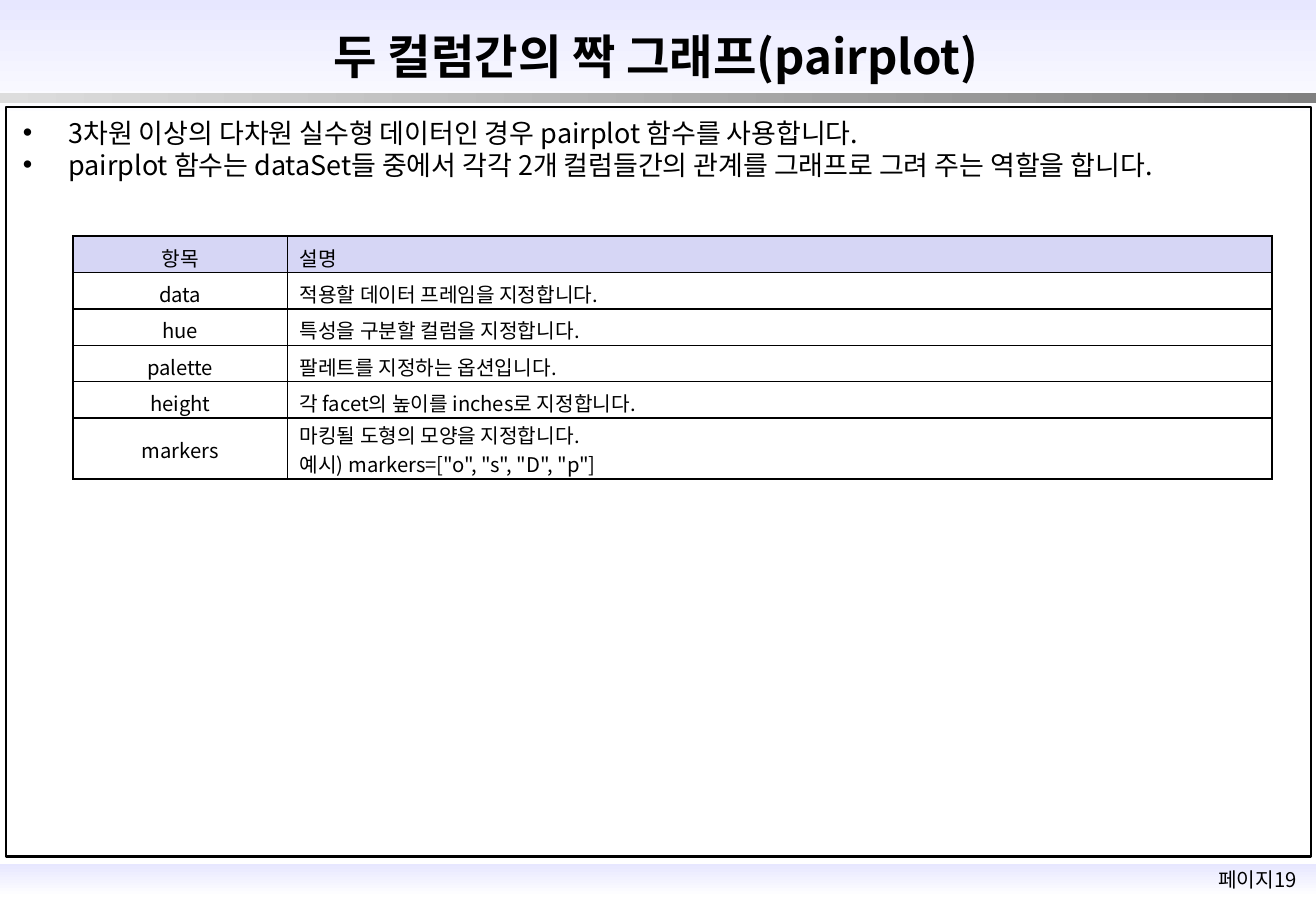
from lxml import etree
from pptx import Presentation
from pptx.dml.color import RGBColor
from pptx.enum import shapes, text
from pptx.oxml import ns
from pptx.util import Pt

BLACK = RGBColor(0, 0, 0)
WHITE = RGBColor(255, 255, 255)
LAVENDER = RGBColor(0xE7, 0xE7, 0xFF)
HEADER = RGBColor(0xD6, 0xD6, 0xF5)
GRAY = RGBColor(0x80, 0x80, 0x80)
LIGHT_GRAY = RGBColor(0xDD, 0xDD, 0xDD)
CENTER, JUSTIFY = text.PP_ALIGN.CENTER, text.PP_ALIGN.JUSTIFY
MIDDLE = text.MSO_ANCHOR.MIDDLE

WIDTH, HEIGHT = 779.76, 540
BULLETS = [
    "3차원 이상의 다차원 실수형 데이터인 경우 pairplot 함수를 사용합니다.",
    "pairplot 함수는 dataSet들 중에서 각각 2개 컬럼들간의 관계를 그래프로 그려 주는 역할을 합니다.",
]
OPTIONS = [
    ("항목", ["설명"]),
    ("data", ["적용할 데이터 프레임을 지정합니다."]),
    ("hue", ["특성을 구분할 컬럼을 지정합니다."]),
    ("palette", ["팔레트를 지정하는 옵션입니다."]),
    ("height", ["각 facet의 높이를 inches로 지정합니다."]),
    ("markers", ["마킹될 도형의 모양을 지정합니다.", '예시) markers=["o", "s", "D", "p"]']),
]


def sub(parent, tag, **attrs):
    """Append a DrawingML element to parent."""
    return etree.SubElement(parent, ns.qn(tag), attrs)


def apply(target, values):
    """Set each named attribute on target."""
    for name, value in values.items():
        setattr(target, name, value)


class Deck:
    """The presentation style and the current slide."""

    font = "Noto Sans CJK KR"

    def __init__(self):
        self.prs = Presentation()
        apply(self.prs, {"slide_width": Pt(WIDTH), "slide_height": Pt(HEIGHT)})
        self.s = self.prs.slides.add_slide(self.prs.slide_layouts[5])

    def put_lines(self, tf, lines, size, bold=False, bullet=False, **fmt):
        for i, line in enumerate(lines):
            p = tf.paragraphs[0] if i == 0 else tf.add_paragraph()
            apply(p, fmt if i else {**fmt, "space_before": Pt(0)})
            if bullet:
                pPr = p._p.get_or_add_pPr()
                pPr.set("marL", str(Pt(27)))
                pPr.set("indent", str(Pt(-27)))
                sub(pPr, "a:buFont", typeface="Arial")
                sub(pPr, "a:buChar", char="•")
            r = p.add_run()
            r.text = line
            apply(r.font, {"size": Pt(size), "bold": bold, "name": self.font})
            r.font.color.rgb = BLACK
            sub(r._r.get_or_add_rPr(), "a:ea", typeface=self.font)

    def rect(self, x, y, w, h):
        sp = self.s.shapes.add_shape(
            shapes.MSO_SHAPE.RECTANGLE, Pt(x), Pt(y), Pt(w), Pt(h))
        sp.shadow.inherit = False
        return sp

    def band(self, y, h, start, end, angle):
        """Add a full-width gradient strip."""
        sp = self.rect(0, y, WIDTH, h)
        sp.line.fill.background()
        sp.fill.gradient()
        sp.fill.gradient_angle = angle
        for stop, color in zip(sp.fill.gradient_stops, (start, end)):
            stop.color.rgb = color

    def frame(self, x, y, w, h):
        sp = self.rect(x, y, w, h)
        sp.fill.background()
        sp.line.color.rgb = BLACK
        sp.line.width = Pt(1.5)

    def title(self, x, y, w, h, line):
        sp = self.s.shapes.title
        apply(sp, {"left": Pt(x), "top": Pt(y), "width": Pt(w), "height": Pt(h)})
        apply(sp.text_frame, {"vertical_anchor": MIDDLE, "word_wrap": True,
                              "auto_size": text.MSO_AUTO_SIZE.NONE})
        self.put_lines(sp.text_frame, [line], 28, bold=True, alignment=CENTER)
        # Bring the title in front of the bands
        self.s.shapes._spTree.append(sp._element)

    def textbox(self, x, y, w, h, lines, size, anchor=text.MSO_ANCHOR.TOP, **fmt):
        tf = self.s.shapes.add_textbox(Pt(x), Pt(y), Pt(w), Pt(h)).text_frame
        apply(tf, {"word_wrap": True, "vertical_anchor": anchor})
        self.put_lines(tf, lines, size, **fmt)

    def cell(self, cell, lines, color, align, top):
        apply(cell, {"vertical_anchor": MIDDLE, "margin_top": Pt(top),
                     "margin_bottom": Pt(0)})
        tcPr = cell._tc.get_or_add_tcPr()
        for side in "LRTB":
            ln = sub(tcPr, "a:ln" + side, w=str(Pt(1)))
            sub(sub(ln, "a:solidFill"), "a:srgbClr", val=str(BLACK))
        cell.fill.solid()
        cell.fill.fore_color.rgb = color
        self.put_lines(cell.text_frame, lines, 12, alignment=align)

    def table(self, x, y, widths, heights, rows):
        table = self.s.shapes.add_table(
            len(rows), len(widths), Pt(x), Pt(y),
            Pt(sum(widths)), Pt(sum(heights))).table
        for column, width in zip(table.columns, widths):
            column.width = Pt(width)
        for i, (name, lines) in enumerate(rows):
            table.rows[i].height = Pt(heights[i])
            color = WHITE if i else HEADER
            top = 3.6 if len(lines) == 1 else 1
            self.cell(table.cell(i, 0), [name], color, CENTER, top)
            self.cell(table.cell(i, 1), lines, color, JUSTIFY, top)


def main():
    deck = Deck()
    deck.band(512, 19.4, LAVENDER, WHITE, 270)
    deck.band(0, 72, LAVENDER, WHITE, 270)
    deck.textbox(707, 510.5, 76.3, 21.6, ["페이지19"], 12, MIDDLE, alignment=CENTER)
    deck.band(55.4, 5.8, LIGHT_GRAY, GRAY, 0)
    deck.frame(3.6, 63.4, 773.3, 444.2)
    deck.title(100, 12.2, 577.4, 41.8, "두 컬럼간의 짝 그래프(pairplot)")
    deck.textbox(6.5, 69, 773.3, 49.7, BULLETS, 16, bullet=True,
                 line_spacing=0.8, space_before=Pt(3.8))
    deck.table(43.2, 139.9, [127.2, 583.2], [21.6] * 5 + [36], OPTIONS)
    deck.prs.save("out.pptx")


if __name__ == "__main__":
    main()
